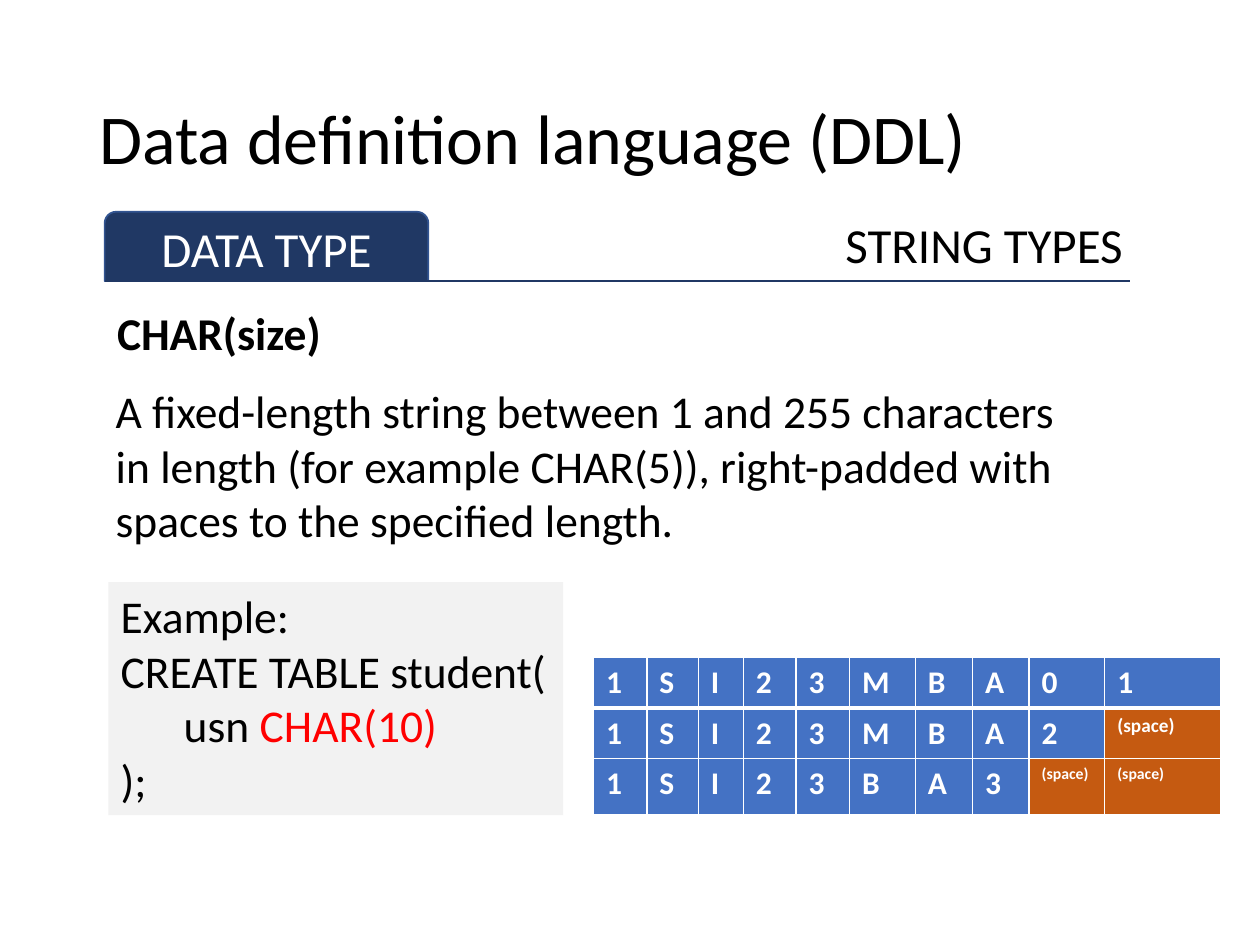
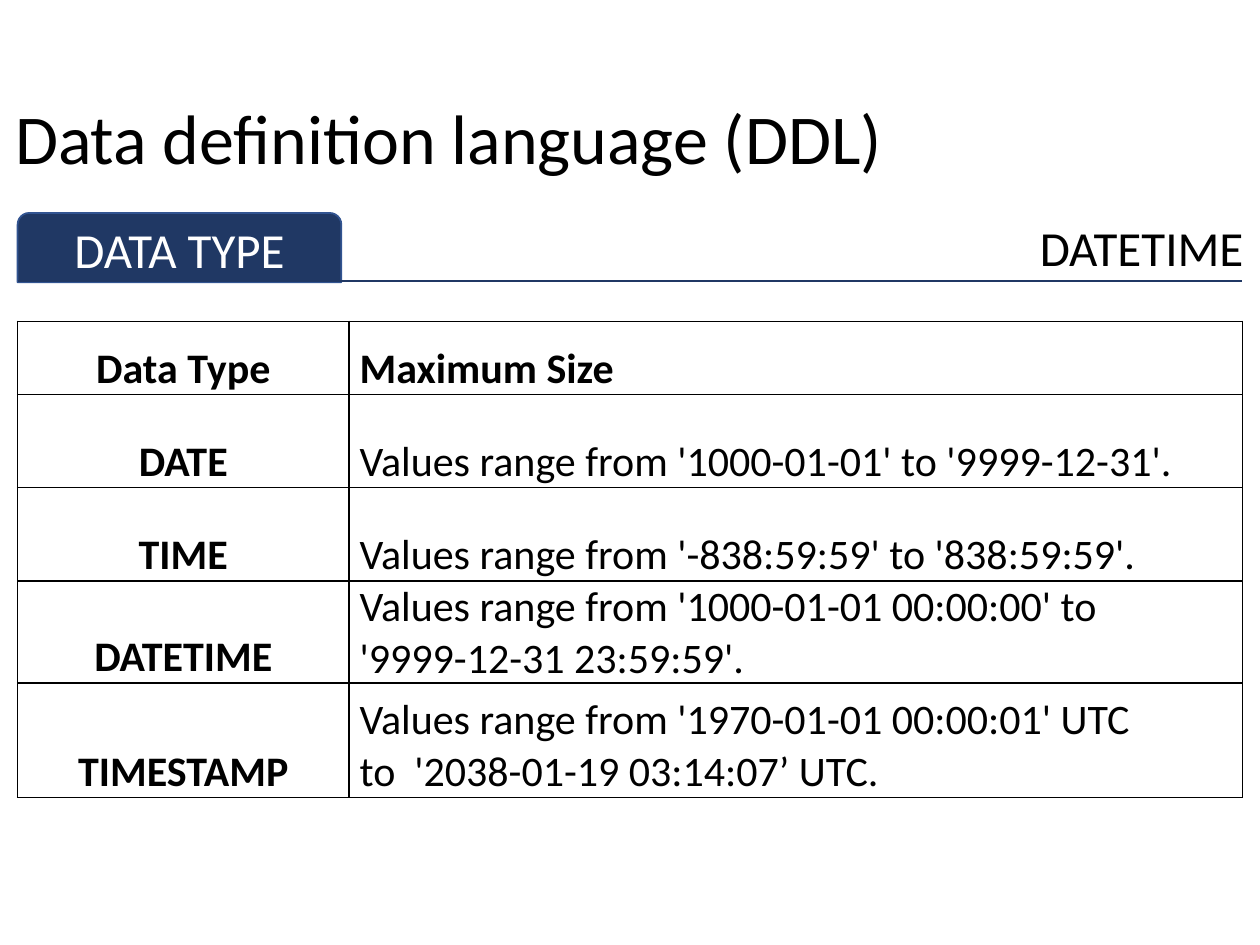
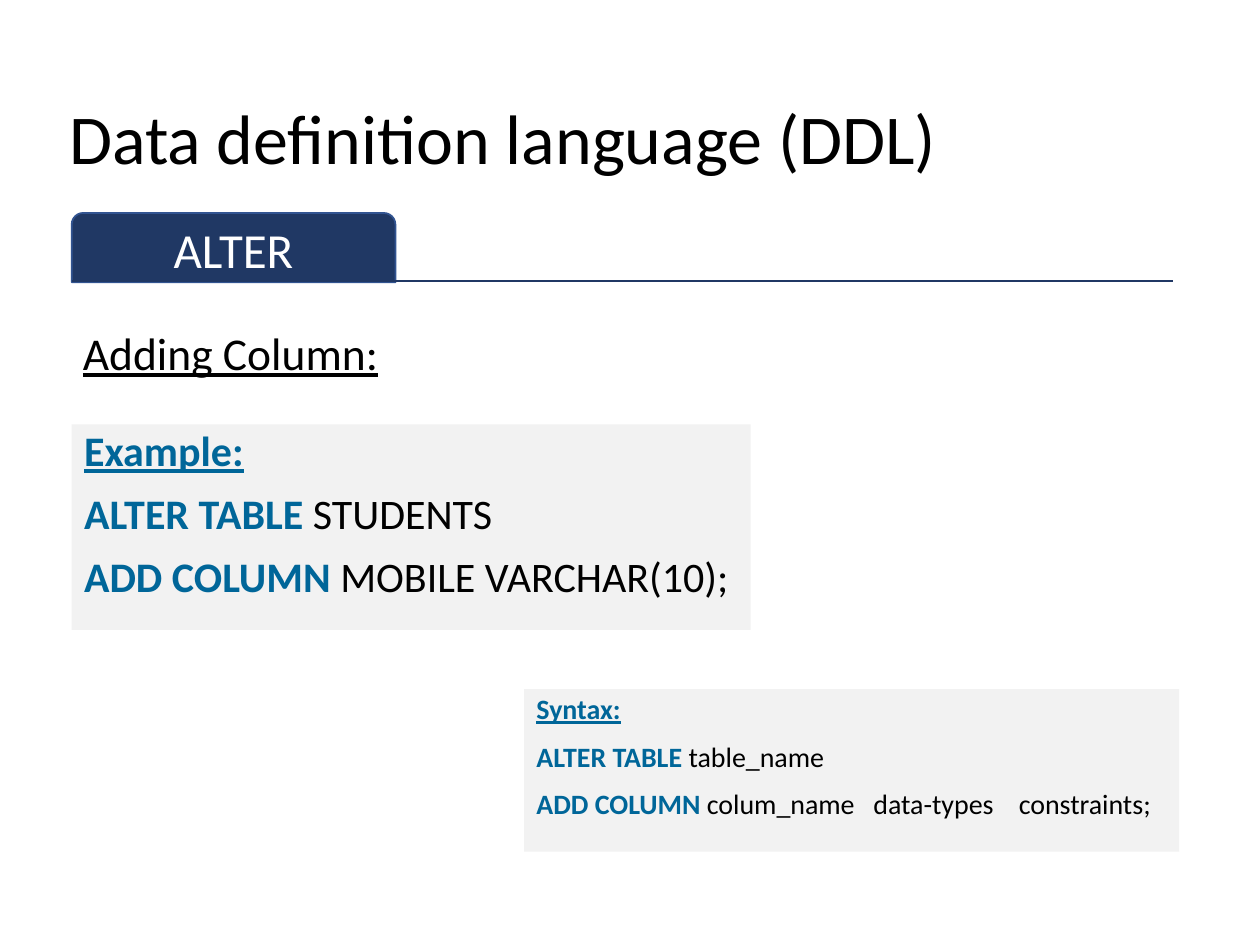
"""Builds three slides on SQL data types and altering tables."""
from pptx import Presentation
from pptx.dml.color import RGBColor
from pptx.enum.shapes import MSO_CONNECTOR as LINE, MSO_SHAPE as SHAPE
from pptx.enum.text import MSO_ANCHOR as ANCHOR, PP_ALIGN as ALIGN
from pptx.oxml import parse_xml
from pptx.oxml.ns import nsdecls
from pptx.util import Pt

BLACK = RGBColor(0x00, 0x00, 0x00)
WHITE = RGBColor(0xFF, 0xFF, 0xFF)
RED = RGBColor(0xFF, 0x00, 0x00)
NAVY = RGBColor(0x20, 0x38, 0x64)
NAVY_EDGE = RGBColor(0x32, 0x54, 0x91)
KEYWORD = RGBColor(0x00, 0x66, 0x99)
PANEL = RGBColor(0xF2, 0xF2, 0xF2)
USED = RGBColor(0x44, 0x72, 0xC4)
PADDED = RGBColor(0xC5, 0x5A, 0x11)
FONT = "Calibri"
RULE_Y = 160.6


def write(frame, size, paragraphs, align=ALIGN.LEFT, line=1.0, before=0):
    """Fill a text frame; each run is (text, colour, style letters b and u)."""
    frame.word_wrap = True
    for index, runs in enumerate(paragraphs):
        para = frame.paragraphs[0] if index == 0 else frame.add_paragraph()
        para.alignment = align
        para.line_spacing = line
        para.space_before = Pt(before if index else 0)
        if runs[0][0].startswith("\t"):
            para._p.get_or_add_pPr().append(parse_xml(
                f'<a:tabLst {nsdecls("a")}><a:tab pos="{Pt(36)}" algn="l"/></a:tabLst>'))
        for text, colour, style in runs:
            span = para.add_run()
            span.text = text
            span.font.name = FONT
            span.font.size = Pt(size)
            span.font.color.rgb = colour
            span.font.bold = "b" in style
            span.font.underline = "u" in style


def border(cell, colour, top=1, bottom=1):
    """Draw the four borders of a table cell."""
    for side, width in (("L", 1), ("R", 1), ("T", top), ("B", bottom)):
        cell._tc.get_or_add_tcPr().append(parse_xml(
            f'<a:ln{side} {nsdecls("a")} w="{Pt(width)}"><a:solidFill>'
            f'<a:srgbClr val="{colour}"/></a:solidFill></a:ln{side}>'))


deck = Presentation()
deck.slide_width, deck.slide_height = Pt(720), Pt(540)

headers = [
    (49.7, 620.6, 59.8, 121, 645.8, "DATA TYPE"),
    (1.4, 620.6, 10.1, 121.7, 709.9, "DATA TYPE"),
    (32.4, 638.6, 41, 121.7, 670.3, "ALTER"),
]
pages = []
for title_left, title_width, left, tab_top, right, label in headers:
    page = deck.slides.add_slide(deck.slide_layouts[5])
    pages.append(page)

    title = page.shapes.title
    title.left, title.top = Pt(title_left), Pt(28.8)
    title.width, title.height = Pt(title_width), Pt(104.4)
    title.text_frame.vertical_anchor = ANCHOR.MIDDLE
    write(title.text_frame, 40, [[("Data definition language (DDL)", BLACK, "")]], line=0.9)

    tab = page.shapes.add_shape(SHAPE.ROUND_2_SAME_RECTANGLE,
                                Pt(left), Pt(tab_top), Pt(185), Pt(39.6))
    tab.shadow.inherit = False
    tab.fill.solid()
    tab.fill.fore_color.rgb = NAVY
    tab.line.color.rgb = NAVY_EDGE
    tab.line.width = Pt(1)
    tab.text_frame.vertical_anchor = ANCHOR.MIDDLE
    write(tab.text_frame, 28, [[(label, WHITE, "")]], ALIGN.CENTER)

    rule = page.shapes.add_connector(LINE.STRAIGHT, Pt(left), Pt(RULE_Y), Pt(right), Pt(RULE_Y))
    rule.line.color.rgb = NAVY
    rule.line.width = Pt(1.5)
    rule._element.spPr.append(parse_xml(f'<a:effectLst {nsdecls("a")}/>'))

char_page, date_page, alter_page = pages

boxes = [
    (char_page, (382.3, 118.8, 360, 41), None, 28, ALIGN.CENTER, 1, 0,
     [[("STRING TYPES", BLACK, "")]]),
    (char_page, (59.8, 170.6, 371.5, 38.9), None, 26, ALIGN.LEFT, 1, 0,
     [[("CHAR(size)", BLACK, "b")]]),
    (char_page, (59, 215.3, 602, 101.5), None, 26, ALIGN.JUSTIFY, 1, 0,
     [[("A fixed-length string between 1 and 255 characters", BLACK, "")],
      [("in length (for example CHAR(5)), right-padded with", BLACK, "")],
      [("spaces to the specified length.", BLACK, "")]]),
    (char_page, (61.9, 332.6, 260, 133.2), PANEL, 26, ALIGN.LEFT, 1, 0,
     [[("Example:", BLACK, "")],
      [("CREATE TABLE student(", BLACK, "")],
      [("\tusn ", BLACK, ""), ("CHAR(10)", RED, "")],
      [(");", BLACK, "")]]),
    (date_page, (509, 121, 286.6, 41), None, 28, ALIGN.CENTER, 1, 0,
     [[("DATETIME", BLACK, "")]]),
    (alter_page, (40.3, 182.2, 629.3, 70.6), None, 26, ALIGN.JUSTIFY, 1, 0,
     [[("Adding Column:", BLACK, "u")]]),
    (alter_page, (41, 242.6, 388, 117.4), PANEL, 24, ALIGN.LEFT, 0.9, 10,
     [[("Example:", KEYWORD, "bu")],
      [("ALTER TABLE", KEYWORD, "b"), (" STUDENTS", BLACK, "")],
      [("ADD COLUMN", KEYWORD, "b"), (" MOBILE VARCHAR(10);", BLACK, "")]]),
    (alter_page, (299.5, 393.8, 374.4, 92.9), PANEL, 16, ALIGN.LEFT, 0.9, 10,
     [[("Syntax:", KEYWORD, "bu")],
      [("ALTER TABLE ", KEYWORD, "b"), ("table_name", BLACK, "")],
      [("ADD COLUMN ", KEYWORD, "b"),
       ("colum_name   data-types    constraints;", BLACK, "")]]),
]
for page, bounds, fill, size, align, line, before, paragraphs in boxes:
    box = page.shapes.add_textbox(*map(Pt, bounds))
    if fill:
        box.fill.solid()
        box.fill.fore_color.rgb = fill
    write(box.text_frame, size, paragraphs, align, line, before)

SPACE = "(space)"
usn_rows = [
    [*"1SI23MBA01"],
    [*"1SI23MBA2", SPACE],
    [*"1SI23BA3", SPACE, SPACE],
]
space_sizes = [11, 11, 9]
usn_widths = [30.5, 29.5, 25.7, 30.2, 30.5, 37.7, 32.6, 32.4, 43.2, 66.3]
usn_table = char_page.shapes.add_table(
    len(usn_rows), len(usn_widths), Pt(339.1), Pt(375.8), Pt(358.6), Pt(90)).table
usn_table.horz_banding = False
for column, width in zip(usn_table.columns, usn_widths):
    column.width = Pt(width)
for row, height in zip(usn_table.rows, [26.6, 26.6, 32.4]):
    row.height = Pt(height)
for row_index, values in enumerate(usn_rows):
    for column_index, value in enumerate(values):
        cell = usn_table.cell(row_index, column_index)
        border(cell, WHITE, 3 if row_index == 1 else 1, 3 if row_index == 0 else 1)
        cell.fill.solid()
        cell.fill.fore_color.rgb = PADDED if value == SPACE else USED
        size = space_sizes[row_index] if value == SPACE else 18
        write(cell.text_frame, size, [[(value, WHITE, "b")]])

date_rows = [
    ("Data Type", ["Maximum Size"]),
    ("DATE", ["Values range from '1000-01-01' to '9999-12-31'."]),
    ("TIME", ["Values range from '-838:59:59' to '838:59:59'."]),
    ("DATETIME", ["Values range from '1000-01-01 00:00:00' to",
                  "'9999-12-31 23:59:59'."]),
    ("TIMESTAMP", ["Values range from '1970-01-01 00:00:01' UTC",
                   "to  '2038-01-19 03:14:07’ UTC."]),
]
date_table = date_page.shapes.add_table(
    len(date_rows), 2, Pt(10.1), Pt(183.6), Pt(699.8), Pt(267.1)).table
date_table.horz_banding = False
for column, width in zip(date_table.columns, [189.3, 510.5]):
    column.width = Pt(width)
for row, height in zip(date_table.rows, [41.8, 53.3, 53.3, 53.3, 65.5]):
    row.height = Pt(height)
for row_index, (name, lines) in enumerate(date_rows):
    name_cell, range_cell = date_table.rows[row_index].cells
    for cell, left_margin in ((name_cell, 0.7), (range_cell, 6.1)):
        border(cell, BLACK)
        cell.fill.background()
        cell.vertical_anchor = ANCHOR.BOTTOM
        cell.margin_left = Pt(left_margin)
        cell.margin_right = cell.margin_top = Pt(0.7)
        cell.margin_bottom = Pt(0)
    write(name_cell.text_frame, 24, [[(name, BLACK, "b")]], ALIGN.CENTER)
    style = "b" if row_index == 0 else ""
    write(range_cell.text_frame, 24, [[(text, BLACK, style)] for text in lines])

deck.save("out.pptx")
